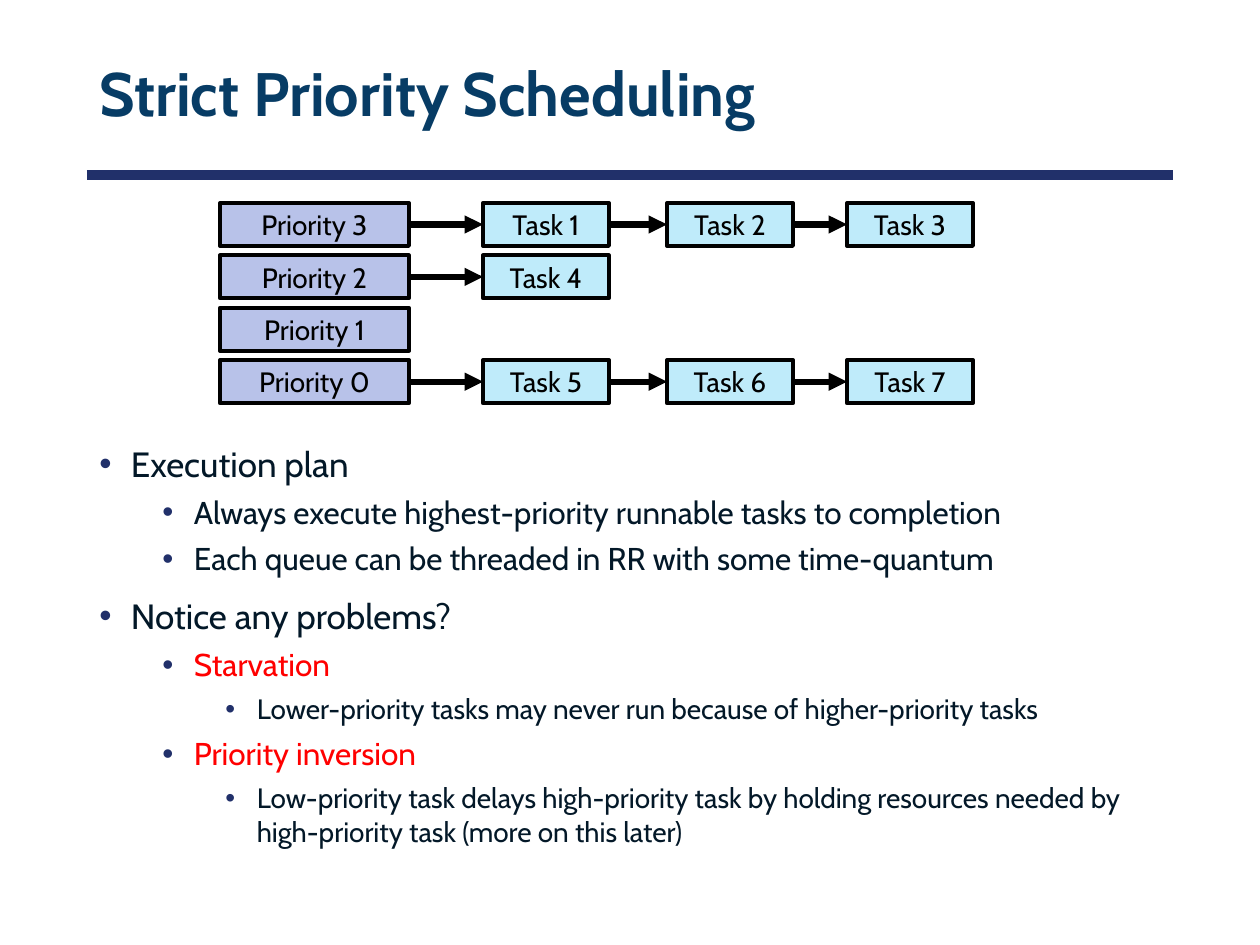
from lxml.etree import SubElement
from pptx import Presentation
from pptx.dml.color import RGBColor
from pptx.enum.shapes import MSO_CONNECTOR, MSO_SHAPE
from pptx.enum.text import MSO_ANCHOR, PP_ALIGN
from pptx.oxml.ns import qn
from pptx.util import Pt

PX = 914400 // 126
FONT = "Cabin"
NAVY, TITLE_BLUE, INK = "21306A", "073C65", "031828"
RED, BLACK, LAVENDER, SKY = "FF0000", "000000", "B8C2E9", "BFEBFA"

TITLE = "Strict Priority Scheduling"
QUEUES = [
    ("Priority 3", ["Task 1", "Task 2", "Task 3"]),
    ("Priority 2", ["Task 4"]),
    ("Priority 1", []),
    ("Priority 0", ["Task 5", "Task 6", "Task 7"]),
]
BULLETS = [  # level, text, colour
    (0, "Execution plan", INK),
    (1, "Always execute highest-priority runnable tasks to completion", INK),
    (1, "Each queue can be threaded in RR with some time-quantum", INK),
    (0, "Notice any problems?", INK),
    (1, "Starvation", RED),
    (2, "Lower-priority tasks may never run because of higher-priority tasks", INK),
    (1, "Priority inversion", RED),
    (2, "Low-priority task delays high-priority task by holding resources "
        "needed by high-priority task (more on this later)", INK),
]
LEVELS = [(20, 10), (18, 5), (16, 5)]  # font size, space before

LEFT, WIDTH = 87, 1086
QUEUE_TOP, QUEUE_PITCH, BOX_HEIGHT = 203, 52.4, 43
QUEUE_LEFT, QUEUE_WIDTH = 220, 189
TASK_LEFTS, TASK_WIDTH = [483, 667, 847], 126
INDENT_STEP, HANGING = 63, 31.5


def emu(*lengths):
    return [round(length * PX) for length in lengths]


def rgb(colour):
    return RGBColor.from_string(colour)


def set_font(paragraph, size, colour, bold=False):
    font = paragraph.font
    font.name, font.size, font.bold = FONT, Pt(size), bold
    font.color.rgb = rgb(colour)


def add_text_frame(slide, top, height):
    frame = slide.shapes.add_textbox(*emu(LEFT, top, WIDTH, height)).text_frame
    frame.word_wrap = True
    return frame


def add_box(slide, label, left, top, width, colour):
    box = slide.shapes.add_shape(
        MSO_SHAPE.RECTANGLE, *emu(left, top, width, BOX_HEIGHT))
    box.shadow.inherit = False
    box.fill.solid()
    box.fill.fore_color.rgb = rgb(colour)
    box.line.color.rgb = rgb(BLACK)
    box.line.width = Pt(2.25)
    frame = box.text_frame
    frame.margin_top = frame.margin_bottom = 0
    frame.vertical_anchor = MSO_ANCHOR.MIDDLE
    paragraph = frame.paragraphs[0]
    paragraph.text = label
    paragraph.alignment = PP_ALIGN.CENTER
    set_font(paragraph, 16, BLACK)
    return box


def add_line(slide, ends, colour, width):
    line = slide.shapes.add_connector(MSO_CONNECTOR.STRAIGHT, *ends)
    line.line.color.rgb = rgb(colour)
    line.line.width = Pt(width)
    SubElement(line._element.spPr, qn("a:effectLst"))
    return line


def add_arrow(slide, source, target):
    """Glue an arrow from the right side of source to the left of target."""
    arrow = add_line(slide, (0, 0, 0, 0), BLACK, 3.5)
    arrow.begin_connect(source, 3)
    arrow.end_connect(target, 1)
    SubElement(arrow.line._get_or_add_ln(), qn("a:tailEnd"), type="triangle")


def add_bullet(paragraph, level):
    properties = paragraph._p.get_or_add_pPr()
    margin, indent = emu(HANGING + level * INDENT_STEP, -HANGING)
    properties.set("marL", str(margin))
    properties.set("indent", str(indent))
    colour = SubElement(properties, qn("a:buClr"))
    SubElement(colour, qn("a:srgbClr"), val=NAVY)
    SubElement(properties, qn("a:buFont"), typeface="Arial")
    SubElement(properties, qn("a:buChar"), char="•")


def add_title(slide):
    frame = add_text_frame(slide, 29, 136)
    frame.vertical_anchor = MSO_ANCHOR.MIDDLE
    paragraph = frame.paragraphs[0]
    paragraph.text = TITLE
    paragraph.line_spacing = 0.9
    set_font(paragraph, 35, TITLE_BLUE, bold=True)
    add_line(slide, emu(LEFT, 175, LEFT + WIDTH, 175), NAVY, 6)


def add_queues(slide):
    for row, (priority, tasks) in enumerate(QUEUES):
        top = QUEUE_TOP + row * QUEUE_PITCH
        previous = add_box(slide, priority, QUEUE_LEFT, top, QUEUE_WIDTH, LAVENDER)
        for task, left in zip(tasks, TASK_LEFTS):
            box = add_box(slide, task, left, top, TASK_WIDTH, SKY)
            add_arrow(slide, previous, box)
            previous = box


def add_bullets(slide):
    frame = add_text_frame(slide, 436, 480)
    for index, (level, text, colour) in enumerate(BULLETS):
        paragraph = frame.add_paragraph() if index else frame.paragraphs[0]
        size, space_before = LEVELS[level]
        paragraph.text = text
        paragraph.level = level
        paragraph.space_before = Pt(space_before)
        set_font(paragraph, size, colour)
        add_bullet(paragraph, level)


def main():
    deck = Presentation()
    deck.slide_width, deck.slide_height = emu(1260, 945)
    slide = deck.slides.add_slide(deck.slide_layouts[6])
    add_title(slide)
    add_queues(slide)
    add_bullets(slide)
    deck.save("out.pptx")


if __name__ == "__main__":
    main()
